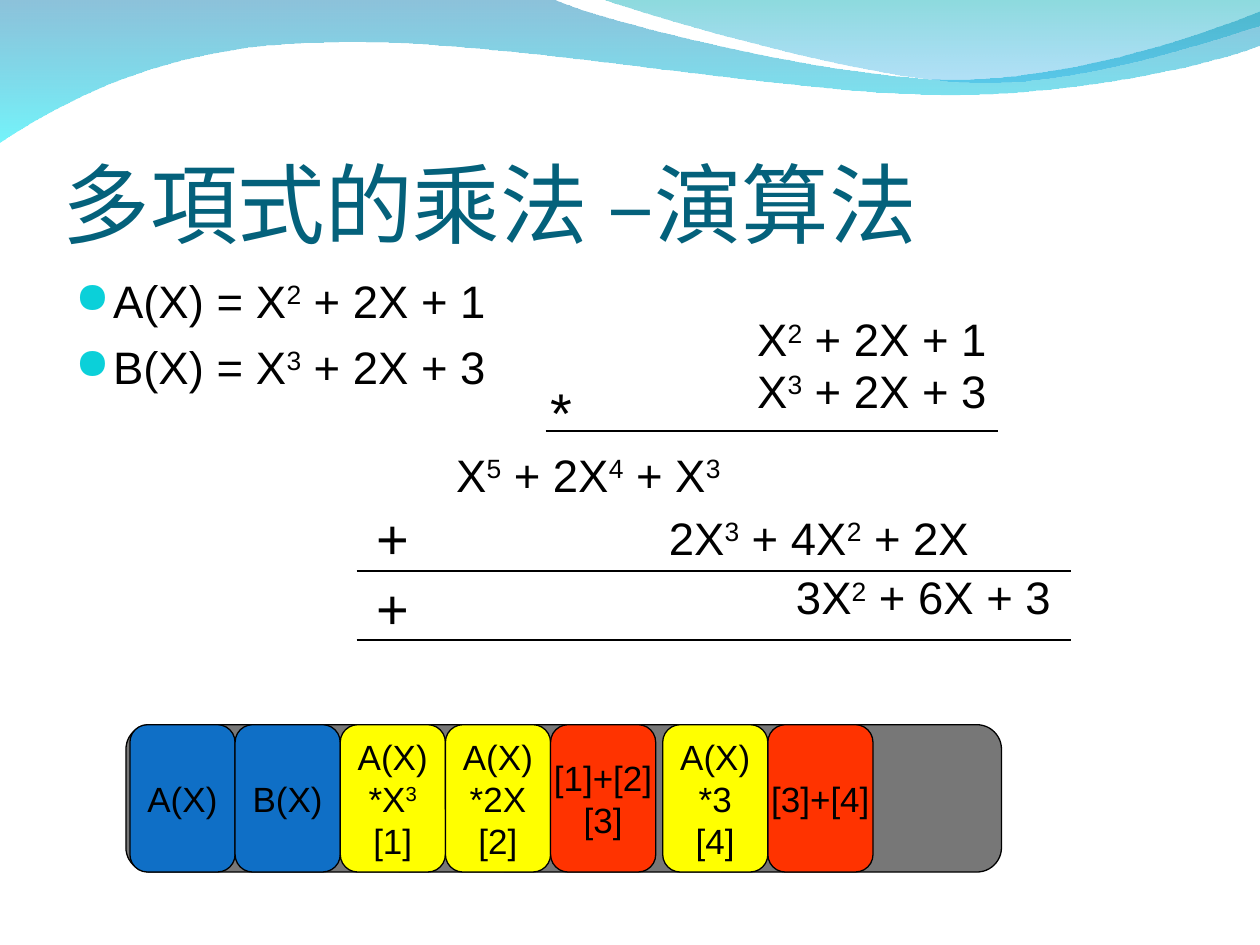
from lxml import etree
from pptx import Presentation
from pptx.dml.color import RGBColor
from pptx.enum.shapes import MSO_CONNECTOR, MSO_SHAPE
from pptx.enum.text import MSO_ANCHOR, PP_ALIGN
from pptx.oxml.ns import qn
from pptx.util import Cm, Pt

LINE = MSO_CONNECTOR.STRAIGHT
ROUND = MSO_SHAPE.ROUNDED_RECTANGLE
LEFT, CENTER = PP_ALIGN.LEFT, PP_ALIGN.CENTER
MIDDLE, BOTTOM = MSO_ANCHOR.MIDDLE, MSO_ANCHOR.BOTTOM
COLORS = {
    "text": "000000", "title": "04617B", "bullet": "0BD0D9", "track": "777777",
    "input": "0F6FC6", "product": "FFFF00", "sum": "FF3300",
    "wave_top": "0079AF", "wave_low": "00EBF8",
    "crest_top": "00ADB6", "crest_low": "009BE5",
}
RGB = {name: RGBColor.from_string(value) for name, value in COLORS.items()}


def write(tf, text, size, align=CENTER, font="Arial", color="text"):
    for i, line in enumerate(text.split("\n")):
        p = tf.paragraphs[0] if i == 0 else tf.add_paragraph()
        p.alignment = align
        for j, part in enumerate(line.split("^")):
            if not part:
                continue
            r = p.add_run()
            r.text = part
            r.font.size = Pt(size)
            r.font.name = font
            r.font.color.rgb = RGB[color]
            rPr = r.font._element
            etree.SubElement(rPr, qn("a:ea"), typeface=font)
            if j % 2:
                rPr.set("baseline", "30000")


def add_text(x, y, w, h, text, size, **style):
    tf = s.shapes.add_textbox(Cm(x), Cm(y), Cm(w), Cm(h)).text_frame
    tf.word_wrap = True
    write(tf, text, size, **style)
    return tf


prs = Presentation()
prs.slide_width, prs.slide_height = Cm(25.4), Cm(19.05)
s = prs.slides.add_slide(prs.slide_layouts[6])

waves = [
    ([(0, 0)], [
        [(11.18, 0)],
        [(12.09, 0.43), (16.87, 1.6), (19.25, 1.6)],
        [(21.67, 1.6), (24.33, 0.66), (25.4, 0.23)],
        [(25.4, 0.91)],
        [(24.97, 1.12), (22.1, 1.93), (18.95, 1.91)],
        [(15.8, 1.91), (9.7, 0.71), (6.53, 0.86)],
        [(3.28, 0.89), (1.17, 2.11), (0, 2.87)],
    ], [("wave_top", 45), ("wave_low", 55)]),
    ([(12.17, 0)], [
        [(12.93, 0.28), (17.32, 1.57), (19.53, 1.65)],
        [(21.74, 1.75), (24.41, 0.81), (25.4, 0.53)],
        [(25.4, 0)],
    ], [("crest_top", 45), ("crest_low", 30)]),
]
STEPS = 24
for points, segments, stops in waves:
    for segment in segments:
        if len(segment) == 1:
            points.append(segment[0])
            continue
        curve = [points[-1]] + segment
        for k in range(1, STEPS + 1):
            t = k / STEPS
            weights = [(1 - t) ** 3, 3 * t * (1 - t) ** 2, 3 * t * t * (1 - t), t ** 3]
            points.append(tuple(sum(w * c[axis] for w, c in zip(weights, curve))
                                for axis in (0, 1)))
    outline = [(Cm(x), Cm(y)) for x, y in points]
    builder = s.shapes.build_freeform(*outline[0])
    builder.add_line_segments(outline[1:], close=True)
    sp = builder.convert_to_shape()
    sp.shadow.inherit = False
    sp.line.fill.background()
    sp.fill.gradient()
    sp.fill.gradient_angle = 270
    for position, (stop, (color, alpha)) in enumerate(zip(sp.fill.gradient_stops, stops)):
        stop.position = position
        stop.color.rgb = RGB[color]
    for clr, (color, alpha) in zip(sp.element.spPr.iter(qn("a:srgbClr")), stops):
        etree.SubElement(clr, qn("a:alpha"), val=str(alpha * 1000))

tf = add_text(1.27, 1.96, 22.86, 3.18, "多項式的乘法 –演算法", 50,
              align=LEFT, font="Noto Sans CJK SC", color="title")
tf.vertical_anchor = BOTTOM
tf.margin_left = tf.margin_right = tf.margin_bottom = 0

tf = add_text(1.27, 5.38, 22.86, 12.19, "A(X) = X^2^ + 2X + 1\nB(X) = X^3^ + 2X + 3", 26,
              align=LEFT)
for p in tf.paragraphs:
    p.space_before = Pt(6.5)
    pPr = p._p.get_or_add_pPr()
    pPr.set("marL", str(Cm(0.76)))
    pPr.set("indent", str(-Cm(0.76)))
    buClr = etree.SubElement(pPr, qn("a:buClr"))
    etree.SubElement(buClr, qn("a:srgbClr"), val=COLORS["bullet"])
    etree.SubElement(pPr, qn("a:buSzPct"), val="95000")
    etree.SubElement(pPr, qn("a:buChar"), char="●")

TOP, BOX_W, BOX_H = 14.61, 2.12, 2.97
boxes = [(2.54, 17.65, "track", "")]
steps = [
    ("input", "A(X)"), ("input", "B(X)"),
    ("product", "A(X)\n*X^3^\n[1]"), ("product", "A(X)\n*2X\n[2]"),
    ("sum", "[1]+[2]\n[3]"), ("product", "A(X)\n*3\n[4]"), ("sum", "[3]+[4]"),
]
for i, (color, text) in enumerate(steps):
    gap = 0.14 if i > 4 else 0
    boxes.append((2.62 + i * BOX_W + gap, BOX_W, color, text))
for x, w, color, text in boxes:
    sp = s.shapes.add_shape(ROUND, Cm(x), Cm(TOP), Cm(w), Cm(BOX_H))
    sp.adjustments[0] = 0.167
    sp.shadow.inherit = False
    sp.fill.solid()
    sp.fill.fore_color.rgb = RGB[color]
    sp.line.color.rgb = RGB["text"]
    sp.line.width = Pt(0.74)
    sp.text_frame.word_wrap = False
    sp.text_frame.vertical_anchor = MIDDLE
    write(sp.text_frame, text, 20)

terms = [
    (12.5, 6.15, "X^2^ + 2X + 1"),
    (12.5, 7.19, "X^3^ + 2X + 3"),
    (6.78, 8.89, "X^5^ + 2X^4^ + X^3^"),
    (11.43, 10.16, "2X^3^ + 4X^2^ + 2X"),
    (13.54, 11.35, "3X^2^ + 6X + 3"),
]
for x, y, text in terms:
    add_text(x, y, 10.16, 1.37, text, 26)

for x, y, sign in [(10.59, 7.49, "*"), (7.19, 10.03, "+"), (7.19, 11.43, "+")]:
    add_text(x, y, 1.47, 1.63, sign, 32)

for x1, x2, y in [(11, 20.12, 8.69), (7.19, 21.59, 11.51), (7.19, 21.59, 12.9)]:
    rule = s.shapes.add_connector(LINE, Cm(x1), Cm(y), Cm(x2), Cm(y))
    rule.line.color.rgb = RGB["text"]
    rule.line.width = Pt(0.74)
    etree.SubElement(rule._element.spPr, qn("a:effectLst"))

prs.save("out.pptx")
